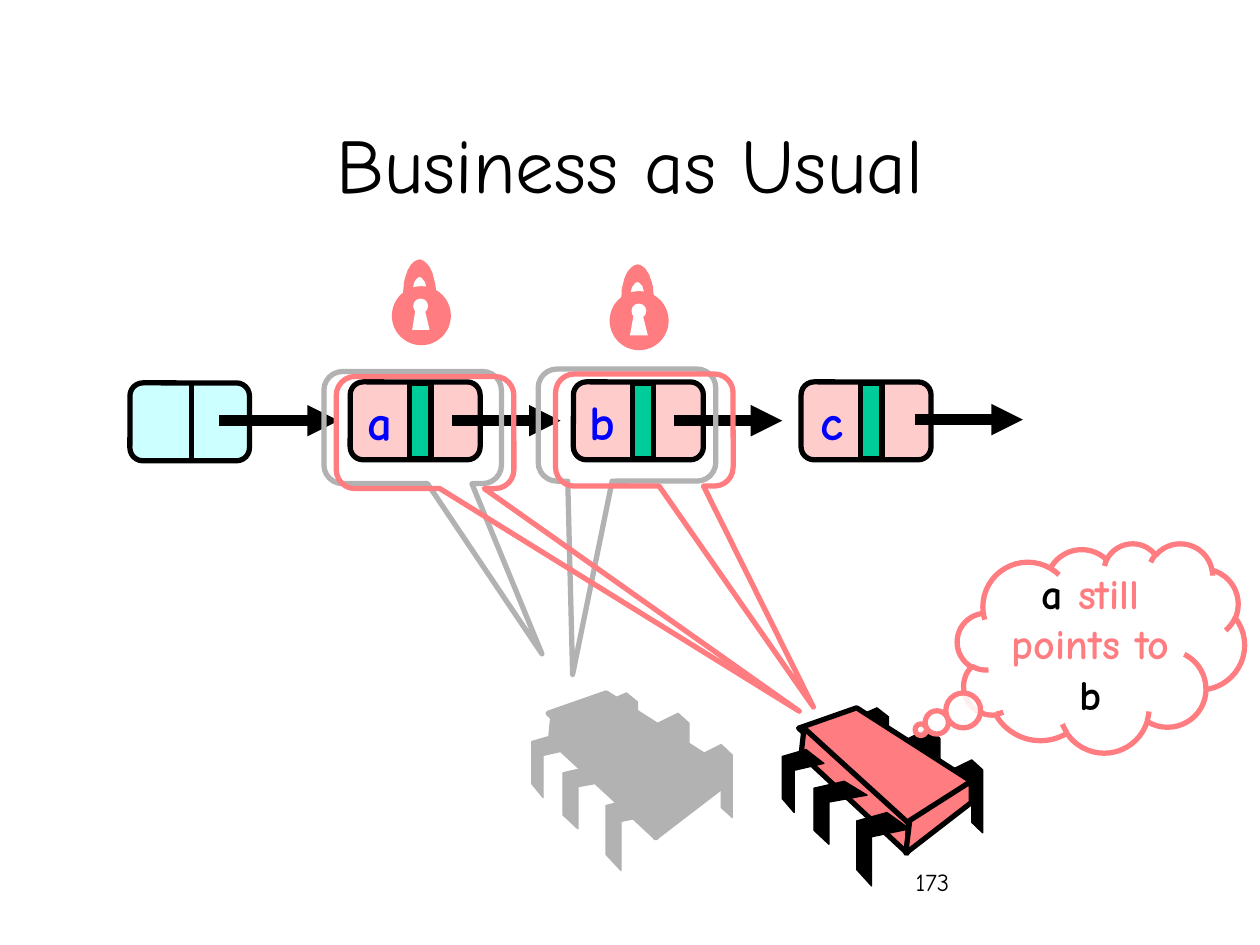
from math import cos, pi, sin

from lxml.etree import SubElement
from pptx import Presentation
from pptx.dml.color import RGBColor
from pptx.enum.shapes import MSO_CONNECTOR, MSO_SHAPE
from pptx.enum.text import MSO_ANCHOR, MSO_AUTO_SIZE, PP_ALIGN
from pptx.oxml.ns import qn
from pptx.util import Cm, Pt

BLACK, WHITE, GRAY, RED = "000000", "FFFFFF", "B2B2B2", "FF7C80"
PINK, CYAN, GREEN, BLUE = "FFCCCC", "CCFFFF", "00CC99", "0000FF"
FONT = "Comic Neue"

# Leg outlines as fractions of their boxes
BACK_LEG = [(0, 0.14), (0.65, 0), (1, 0.14), (1, 1), (0.65, 0.86), (0.65, 0.29), (0, 0.43)]
FRONT_LEG = [(0.57, 0), (1, 0.22), (0.28, 0.33), (0.28, 1), (0, 0.78), (0, 0.11)]

# Chip parts in inches from the chip's top left corner
BACK_LEG_BOXES = [(1.34, 0.41, 0.25, 0.58), (1, 0.16, 0.25, 0.58), (0.59, 0, 0.25, 0.5)]
FRONT_LEG_BOXES = [(0.59, 0.83, 0.42, 0.58), (0.25, 0.58, 0.42, 0.5), (0, 0.33, 0.33, 0.5)]
CHIP_FACES = [
    [(0.59, 0), (1.5, 0.58), (0.99, 0.93), (0.13, 0.16)],
    [(0.17, 0.16), (1, 0.91), (0.99, 1.15), (0.15, 0.37)],
    [(1.5, 0.58), (1.5, 0.75), (0.98, 1.15), (1.01, 0.89)],
]


def inches(*values):
    """Convert inches to centimetre lengths."""
    return [Cm(round(value * 2.54, 2)) for value in values]


def color(hex_string):
    return RGBColor.from_string(hex_string)


def paint(shape, fill, line, width):
    shape.shadow.inherit = False
    if fill:
        shape.fill.solid()
        shape.fill.fore_color.rgb = color(fill)
    else:
        shape.fill.background()
    if line:
        shape.line.color.rgb = color(line)
        shape.line.width = Pt(width)
    else:
        shape.line.fill.background()
    return shape


def add_preset(slide, kind, box, fill=None, line=None, width=3, adjustments=()):
    shape = slide.shapes.add_shape(kind, *inches(*box))
    for index, value in enumerate(adjustments):
        shape.adjustments[index] = value
    return paint(shape, fill, line, width)


def add_outline(slide, origin, points, fill, line=None, width=3):
    left, top = origin
    corners = [inches(left + x, top + y) for x, y in points]
    builder = slide.shapes.build_freeform(*corners[0])
    builder.add_line_segments(corners[1:], close=True)
    return paint(builder.convert_to_shape(), fill, line, width)


def add_line(slide, start, end, width, arrow=False):
    connector = slide.shapes.add_connector(MSO_CONNECTOR.STRAIGHT, *inches(*start, *end))
    connector.line.color.rgb = color(BLACK)
    connector.line.width = Pt(width)
    if arrow:
        SubElement(connector.line._get_or_add_ln(), qn("a:tailEnd"), type="triangle")
    SubElement(connector._element.spPr, qn("a:effectLst"))


def write(shape, runs, size, align, bold=False, **frame_format):
    """Fill a shape with one paragraph of (text, colour) runs."""
    frame = shape.text_frame
    for name, value in frame_format.items():
        setattr(frame, name, value)
    paragraph = frame.paragraphs[0]
    paragraph.alignment = align
    font_format = {"name": FONT, "size": Pt(size), "bold": bold}
    for text, hex_string in runs:
        run = paragraph.add_run()
        run.text = text
        for name, value in font_format.items():
            setattr(run.font, name, value)
        run.font.color.rgb = color(hex_string)


def add_text(slide, box, text, size, align, hex_string=BLACK, **options):
    shape = slide.shapes.add_textbox(*inches(*box))
    write(shape, [(text, hex_string)], size, align, **options)


def add_node(slide, left, label):
    add_preset(slide, MSO_SHAPE.ROUNDED_RECTANGLE, (left, 3.03, 1.03, 0.62), PINK, BLACK)
    add_line(slide, (left + 0.48, 3.02), (left + 0.48, 3.66), 3)
    add_text(slide, (left + 0.01, 3.06, 0.42, 0.57), label, 28, PP_ALIGN.RIGHT, BLUE,
             bold=True, word_wrap=False, auto_size=MSO_AUTO_SIZE.SHAPE_TO_FIT_TEXT)
    add_preset(slide, MSO_SHAPE.RECTANGLE, (left + 0.47, 3.04, 0.17, 0.6), GREEN, BLACK)


def add_callout(slide, left, top, tip, line):
    add_preset(slide, MSO_SHAPE.ROUNDED_RECTANGULAR_CALLOUT, (left, top, 1.41, 0.89),
               line=line, adjustments=(*tip, 0.167))


def arch(radius_x, radius_y, steps=24):
    """Points of a half ellipse from left to right, inside a lock."""
    angles = [pi * (1 - step / steps) for step in range(steps + 1)]
    return [(0.22 + radius_x * cos(angle), 0.28 - radius_y * sin(angle)) for angle in angles]


def add_lock(slide, left, top):
    add_preset(slide, MSO_SHAPE.OVAL, (left, top + 0.21, 0.47, 0.47), RED)
    add_preset(slide, MSO_SHAPE.OVAL, (left + 0.17, top + 0.31, 0.12, 0.12), WHITE)
    keyhole = [(0.16, 0.56), (0.19, 0.39), (0.26, 0.39), (0.3, 0.56)]
    add_outline(slide, (left, top), keyhole, WHITE)
    shackle = arch(0.06, 0.14) + arch(0.13, 0.28)[::-1]
    add_outline(slide, (left, top), shackle, RED)


def add_legs(slide, origin, boxes, leg, fill):
    for left, top, width, height in boxes:
        points = [(left + x * width, top + y * height) for x, y in leg]
        add_outline(slide, origin, points, fill, fill, 0.75)


def add_chip(slide, origin, face, edge):
    add_legs(slide, origin, BACK_LEG_BOXES, BACK_LEG, edge)
    for points in CHIP_FACES:
        add_outline(slide, origin, points, face, edge)
    add_legs(slide, origin, FRONT_LEG_BOXES, FRONT_LEG, edge)


def add_thought(slide):
    cloud = add_preset(slide, MSO_SHAPE.CLOUD_CALLOUT, (7.6, 4.31, 2.28, 1.66),
                       WHITE, RED, adjustments=(-0.627, 0.391))
    fill_color = cloud._element.spPr.find(qn("a:solidFill"))[0]
    SubElement(fill_color, qn("a:alpha"), val="87000")
    write(cloud, [("a", BLACK), (" still points to ", RED), ("b", BLACK)], 24,
          PP_ALIGN.CENTER, bold=True, word_wrap=True, vertical_anchor=MSO_ANCHOR.MIDDLE)


def main():
    presentation = Presentation()
    presentation.slide_width, presentation.slide_height = inches(10, 7.5)
    slide = presentation.slides.add_slide(presentation.slide_layouts[6])

    # Page number and title
    add_text(slide, (7.17, 6.83, 2.08, 0.5), "173", 14, PP_ALIGN.LEFT, word_wrap=True)
    add_text(slide, (0.75, 0.67, 8.5, 1.25), "Business as Usual", 44, PP_ALIGN.CENTER,
             word_wrap=True, vertical_anchor=MSO_ANCHOR.MIDDLE)
    add_preset(slide, MSO_SHAPE.OVAL, (6.47, 4.86, 1.09, 1.17), WHITE, WHITE, 1)

    # List head
    add_preset(slide, MSO_SHAPE.ROUNDED_RECTANGLE, (1.03, 3.04, 0.95, 0.62), CYAN, BLACK)
    add_line(slide, (1.52, 3.03), (1.52, 3.67), 3)
    add_line(slide, (1.74, 3.34), (2.69, 3.34), 6, arrow=True)

    # First thread and the list nodes
    add_chip(slide, (4.22, 5.5), GRAY, GRAY)
    for left, label in ((2.78, "a"), (4.55, "b"), (6.36, "c")):
        add_node(slide, left, label)
    for left, top in ((3.59, 3.34), (5.35, 3.34), (7.26, 3.33)):
        add_line(slide, (left, top), (left + 0.86, top), 6, arrow=True)

    # Callouts of the first thread, and locks
    add_callout(slide, 2.57, 2.95, (0.728, 2.019), GRAY)
    add_callout(slide, 4.27, 2.93, (-0.306, 2.225), GRAY)
    add_lock(slide, 4.84, 2.1)
    add_lock(slide, 3.11, 2.06)

    # Second thread with its callouts and thought
    add_callout(slide, 4.41, 2.97, (0.952, 2.471), RED)
    add_chip(slide, (6.21, 5.62), RED, BLACK)
    add_thought(slide)
    add_callout(slide, 2.67, 2.99, (2.107, 2.486), RED)

    presentation.save("out.pptx")


if __name__ == "__main__":
    main()
